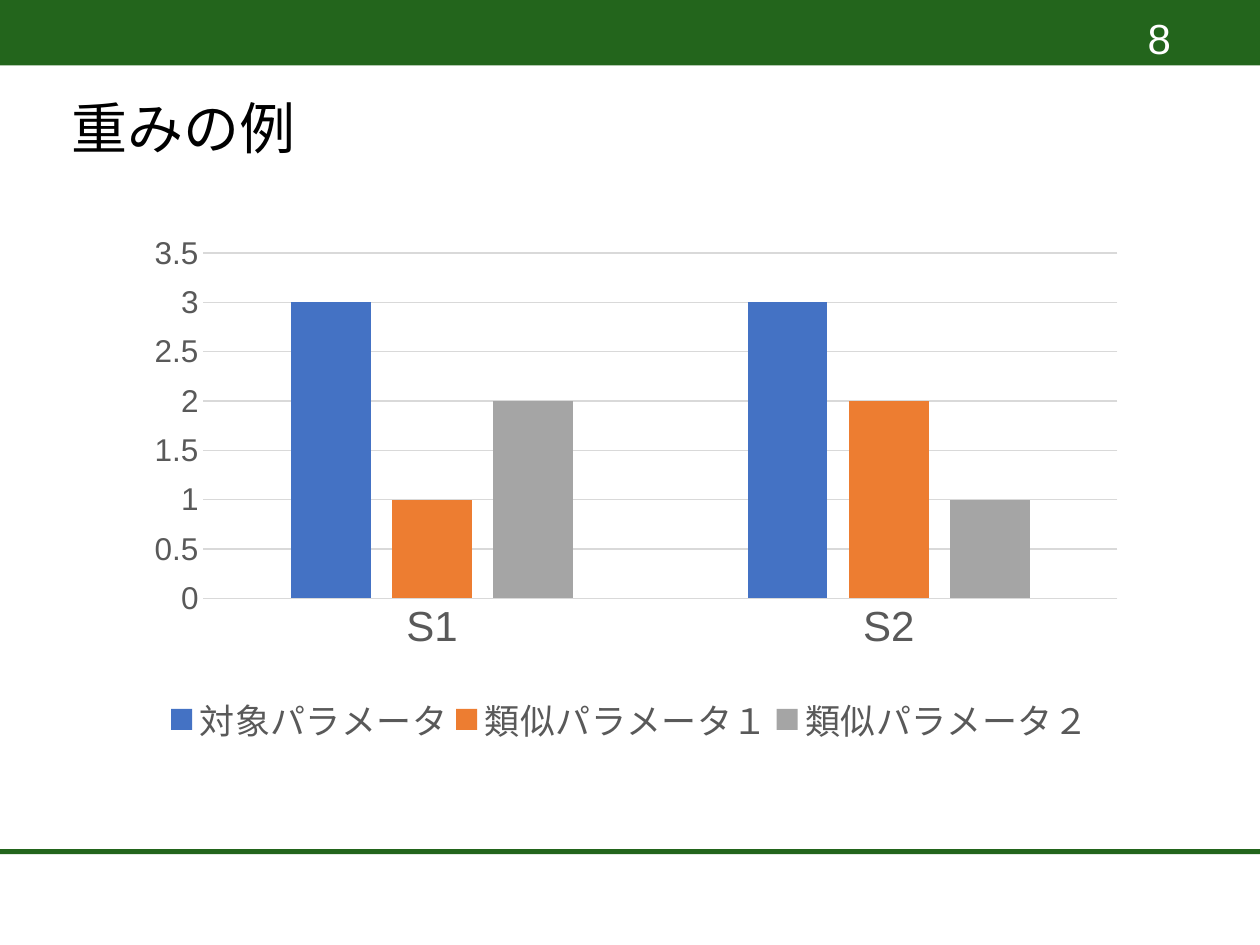
from dataclasses import dataclass

import pptx
import pptx.chart.data
import pptx.dml.color
import pptx.enum.chart
import pptx.enum.shapes
import pptx.enum.text
import pptx.oxml
import pptx.oxml.ns
import pptx.util

Inches = pptx.util.Inches
Pt = pptx.util.Pt
Anchor = pptx.enum.text.MSO_ANCHOR

FONT = "Arial"
GREEN = "23651C"
GRAY_TEXT = "595959"
GRAY_LINE = "D9D9D9"


@dataclass
class Band:
    top: float
    height: float


@dataclass
class Series:
    name: str
    values: tuple
    color: str


BANDS = [Band(0, 0.52), Band(6.74, 0.04)]
CATEGORIES = ["S1", "S2"]
SERIES = [
    Series("対象パラメータ", (3, 3), "4472C4"),
    Series("類似パラメータ１", (1, 2), "ED7D31"),
    Series("類似パラメータ２", (2, 1), "A5A5A5"),
]
# Fractions of the chart
PLOT_AREA = {"x": 0.08, "y": 0.05, "w": 0.9, "h": 0.6}
LEGEND_AREA = {"x": 0.04, "y": 0.81, "w": 0.92, "h": 0.1}


def rgb(color: str):
    return pptx.dml.color.RGBColor.from_string(color)


def format_font(font, size: float, color: str) -> None:
    font.name = FONT
    font.size = Pt(size)
    font.color.rgb = rgb(color)


def place(box, left: float, top: float, width: float, height: float) -> None:
    box.left, box.top = Inches(left), Inches(top)
    box.width, box.height = Inches(width), Inches(height)


def write_text(box, text: str, *, size: float, color: str, anchor,
               spacing: float = 1.0) -> None:
    frame = box.text_frame
    frame.word_wrap = True
    frame.auto_size = pptx.enum.text.MSO_AUTO_SIZE.NONE
    frame.vertical_anchor = anchor
    para = frame.paragraphs[0]
    para.alignment = pptx.enum.text.PP_ALIGN.LEFT
    para.line_spacing = spacing
    span = para.add_run()
    span.text = text
    format_font(span.font, size, color)


def draw_band(page, band: Band, page_width) -> None:
    shape = page.shapes.add_shape(
        pptx.enum.shapes.MSO_SHAPE.RECTANGLE,
        0, Inches(band.top), page_width, Inches(band.height))
    shape.shadow.inherit = False
    shape.fill.solid()
    shape.fill.fore_color.rgb = rgb(GREEN)
    shape.line.fill.background()


def format_axis(axis, size: float) -> None:
    axis.major_tick_mark = pptx.enum.chart.XL_TICK_MARK.NONE
    axis.minor_tick_mark = pptx.enum.chart.XL_TICK_MARK.NONE
    format_font(axis.tick_labels.font, size, GRAY_TEXT)


def format_line(line) -> None:
    line.color.rgb = rgb(GRAY_LINE)
    line.width = Pt(0.75)


def set_layout(part, area: dict, *, index: int, target: str = "") -> None:
    """Fix a chart part at the given area; index is the layout's place in it."""
    modes = "".join(f'<c:{key}Mode val="edge"/>' for key in "xy")
    sizes = "".join(f'<c:{key} val="{value}"/>' for key, value in area.items())
    layout = pptx.oxml.parse_xml(
        f'<c:layout {pptx.oxml.ns.nsdecls("c")}><c:manualLayout>'
        f"{target}{modes}{sizes}</c:manualLayout></c:layout>")
    for old in part.findall(pptx.oxml.ns.qn("c:layout")):
        part.remove(old)
    part.insert(index, layout)


def draw_chart(page) -> None:
    data = pptx.chart.data.CategoryChartData()
    data.categories = CATEGORIES
    for item in SERIES:
        data.add_series(item.name, item.values)
    chart = page.shapes.add_chart(
        pptx.enum.chart.XL_CHART_TYPE.COLUMN_CLUSTERED,
        Inches(0.97), Inches(1.78), Inches(8.06), Inches(4.57), data).chart
    chart.has_title = False
    format_font(chart.font, 10, "000000")

    # Columns
    plot = chart.plots[0]
    plot.vary_by_categories = False
    plot.gap_width, plot.overlap = 219, -27
    for series, item in zip(plot.series, SERIES):
        series.format.fill.solid()
        series.format.fill.fore_color.rgb = rgb(item.color)

    # Axes
    format_axis(chart.category_axis, 24)
    format_line(chart.category_axis.format.line)
    values = chart.value_axis
    format_axis(values, 18)
    values.minimum_scale, values.maximum_scale, values.major_unit = 0, 3.5, 0.5
    values.format.line.fill.background()
    format_line(values.major_gridlines.format.line)

    # Legend
    chart.has_legend = True
    legend = chart.legend
    legend.position = pptx.enum.chart.XL_LEGEND_POSITION.BOTTOM
    legend.include_in_layout = False
    format_font(legend.font, 20, GRAY_TEXT)

    # Placement inside the chart
    root = chart.element.chart
    set_layout(root.plotArea, PLOT_AREA, index=0,
               target='<c:layoutTarget val="inner"/>')
    set_layout(root.find(pptx.oxml.ns.qn("c:legend")), LEGEND_AREA, index=1)


def main() -> None:
    deck = pptx.Presentation()
    deck.slide_width, deck.slide_height = Inches(10), Inches(7.5)
    page = deck.slides.add_slide(deck.slide_layouts[5])

    # Green header and footer bands
    for band in BANDS:
        draw_band(page, band, deck.slide_width)

    # Page number
    number = page.shapes.add_textbox(0, 0, 0, 0)
    place(number, 9.01, 0.05, 0.88, 0.53)
    write_text(number, "8", size=24, color="FFFFFF", anchor=Anchor.TOP)

    # Chart and title
    draw_chart(page)
    title = page.shapes.title
    place(title, 0.47, 0.76, 12.39, 0.56)
    write_text(title, "重みの例", size=32, color="000000",
               anchor=Anchor.MIDDLE, spacing=0.9)

    deck.save("out.pptx")


if __name__ == "__main__":
    main()
